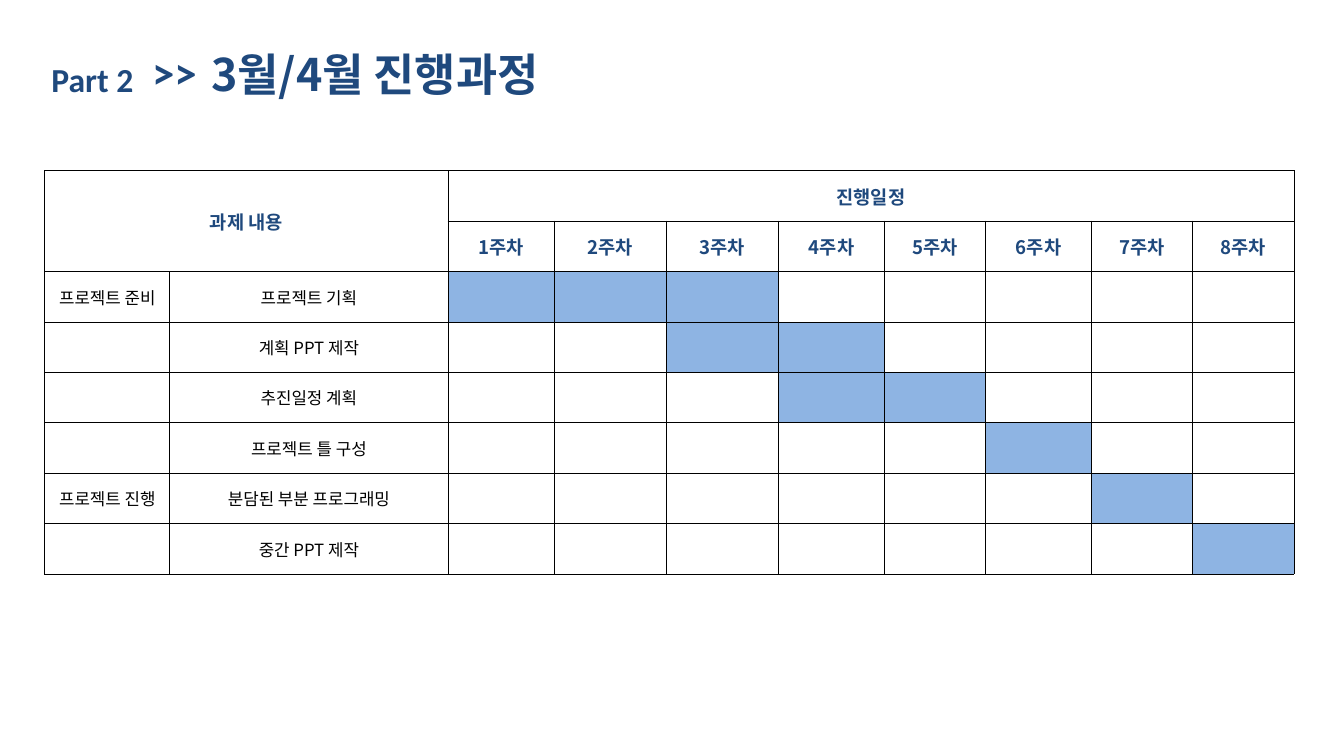
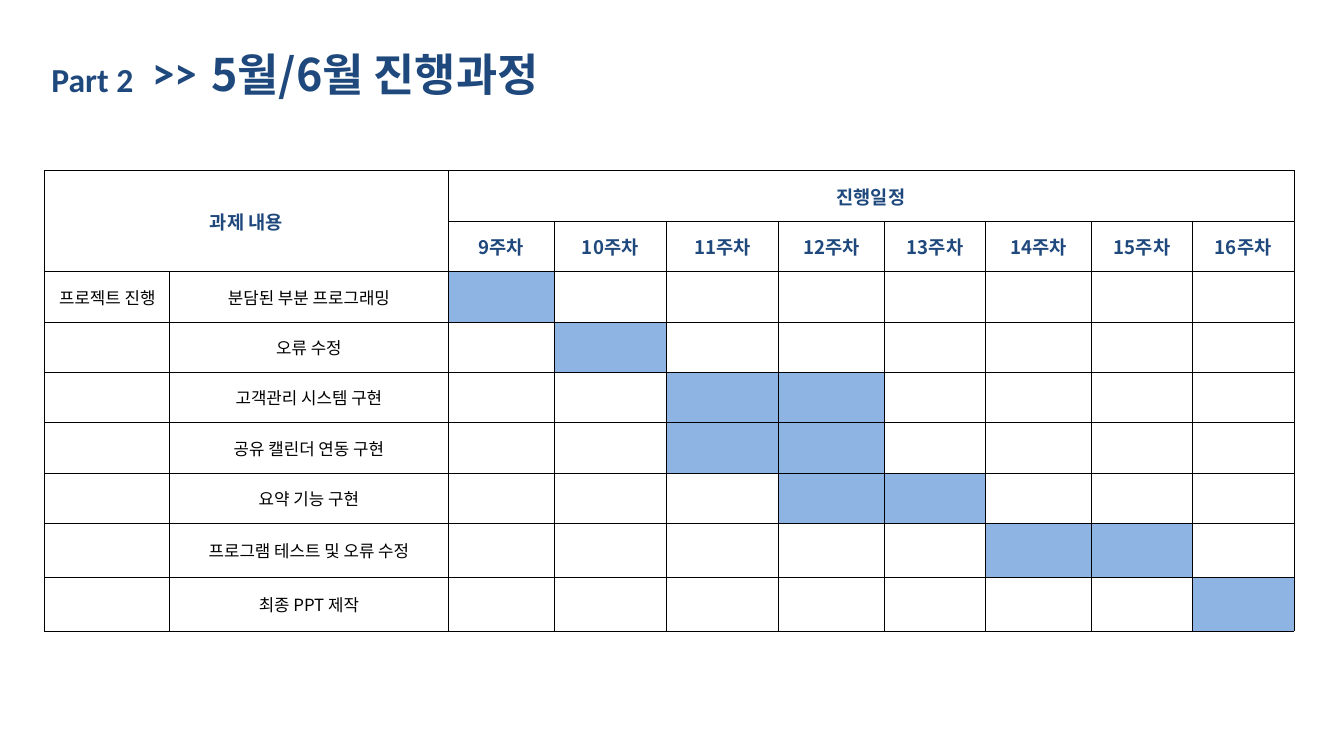
from typing import NamedTuple

from lxml.etree import SubElement
from pptx import Presentation
from pptx.dml.color import RGBColor
from pptx.enum.text import MSO_ANCHOR, MSO_AUTO_SIZE, PP_ALIGN
from pptx.oxml import parse_xml
from pptx.oxml.ns import nsdecls, qn
from pptx.util import Inches, Pt

COLORS = {"navy": "1F497D", "bar": "8EB4E3", "text": "000000", "border": "000000"}
LATIN, KOREAN = "Calibri", "Noto Sans CJK KR"

# The slide is a grid of 60 columns by 45 rows.
SLIDE_WIDTH, SLIDE_HEIGHT = Inches(20), Inches(11.25)
COLUMN, ROW = SLIDE_WIDTH / 60, SLIDE_HEIGHT / 45

WEEKS = 8
HEADER_ROWS, LABEL_COLUMNS = 2, 2
TABLE_COLUMNS = [5.58, 12.42, 4.74, 5.01, 5.01, 4.74, 4.5, 4.74, 4.5, 4.53]
ROW_HEIGHT, TALL_ROW_HEIGHT = 3, 3.2


class Box(NamedTuple):
    """A region in grid columns and rows."""
    left: float
    top: float
    width: float
    height: float

    def region(self, left, top, width, height):
        return Box(self.left + left, self.top + top, width, height)

    def lengths(self):
        return (round(self.left * COLUMN), round(self.top * ROW),
                round(self.width * COLUMN), round(self.height * ROW))


HEADING_BOX = Box(2, 2.48, 22.9, 3.64)
SCHEDULE_BOX = Box(2, 10.16, sum(TABLE_COLUMNS), 24)

# Each task: phase, name, first week, last week.
SPRING_TASKS = [
    ("프로젝트 준비", "프로젝트 기획", 1, 3),
    ("", "계획 PPT 제작", 3, 4),
    ("", "추진일정 계획", 4, 5),
    ("", "프로젝트 틀 구성", 6, 6),
    ("프로젝트 진행", "분담된 부분 프로그래밍", 7, 7),
    ("", "중간 PPT 제작", 8, 8),
]
SUMMER_TASKS = [
    ("프로젝트 진행", "분담된 부분 프로그래밍", 9, 9),
    ("", "오류 수정", 10, 10),
    ("", "고객관리 시스템 구현", 11, 12),
    ("", "공유 캘린더 연동 구현", 11, 12),
    ("", "요약 기능 구현", 12, 13),
    ("", "프로그램 테스트 및 오류 수정", 14, 15),
    ("", "최종 PPT 제작", 16, 16),
]


def write(text_frame, text, size, font=KOREAN, color="navy", bold=True,
          alignment=PP_ALIGN.LEFT):
    text_frame.text = text
    paragraph = text_frame.paragraphs[0]
    paragraph.alignment = alignment
    for run in paragraph.runs:
        run.font.size, run.font.bold, run.font.name = Pt(size), bold, font
        run.font.color.rgb = RGBColor.from_string(COLORS[color])
        SubElement(run.font._element, qn("a:ea"), typeface=font)


def fill_heading_text(shape, box, text, size, font, wrap=True):
    shape.left, shape.top, shape.width, shape.height = box.lengths()
    text_frame = shape.text_frame
    text_frame.word_wrap = wrap
    text_frame.auto_size = MSO_AUTO_SIZE.SHAPE_TO_FIT_TEXT
    text_frame.vertical_anchor = MSO_ANCHOR.TOP
    write(text_frame, text, size, font)


def add_heading(slide, box, title):
    arrows_box = box.region(4.5, 0, 2.61, 3.64)
    title_box = box.region(7.12, 0.08, 15.78, 3.64)
    label_box = box.region(0, 0.84, 4.95, 2.84)
    fill_heading_text(slide.shapes.title, title_box, title, 48, KOREAN)
    arrows = slide.shapes.add_textbox(*arrows_box.lengths())
    fill_heading_text(arrows, arrows_box, ">>", 48, LATIN, wrap=False)
    label = slide.shapes.add_textbox(*label_box.lengths())
    fill_heading_text(label, label_box, "Part 2", 36, LATIN)


def add_borders(cell):
    properties = cell._tc.get_or_add_tcPr()
    for index, side in enumerate(("lnL", "lnR", "lnT", "lnB")):
        properties.insert(index, parse_xml(
            f'<a:{side} {nsdecls("a")} w="{Pt(1)}"><a:solidFill>'
            f'<a:srgbClr val="{COLORS["border"]}"/></a:solidFill></a:{side}>'))


def write_cell(cell, text, header=False):
    style = {"size": 20} if header else {"size": 18, "color": "text", "bold": False}
    cell.vertical_anchor = MSO_ANCHOR.MIDDLE
    write(cell.text_frame, text, alignment=PP_ALIGN.CENTER, **style)


def add_schedule(slide, box, first_week, tasks, tall_rows):
    """Draw the week chart; the last tall_rows rows are slightly higher."""
    row_count = HEADER_ROWS + len(tasks)
    heights = ([ROW_HEIGHT] * (row_count - tall_rows)
               + [TALL_ROW_HEIGHT] * tall_rows)
    box = box._replace(height=sum(heights))
    table = slide.shapes.add_table(row_count, len(TABLE_COLUMNS), *box.lengths()).table
    table.first_row = table.horz_banding = False
    for column, width in zip(table.columns, TABLE_COLUMNS):
        column.width = round(width * COLUMN)
    for row, height in zip(table.rows, heights):
        row.height = round(height * ROW)
    for cell in table.iter_cells():
        cell.fill.background()
        add_borders(cell)

    table.cell(0, 0).merge(table.cell(HEADER_ROWS - 1, LABEL_COLUMNS - 1))
    table.cell(0, LABEL_COLUMNS).merge(table.cell(0, len(TABLE_COLUMNS) - 1))
    write_cell(table.cell(0, 0), "과제 내용", header=True)
    write_cell(table.cell(0, LABEL_COLUMNS), "진행일정", header=True)
    for offset in range(WEEKS):
        write_cell(table.cell(1, LABEL_COLUMNS + offset),
                   f"{first_week + offset}주차", header=True)

    for row, (phase, task, start, end) in enumerate(tasks, HEADER_ROWS):
        write_cell(table.cell(row, 0), phase)
        write_cell(table.cell(row, 1), task)
        for week in range(start, end + 1):
            fill = table.cell(row, LABEL_COLUMNS + week - first_week).fill
            fill.solid()
            fill.fore_color.rgb = RGBColor.from_string(COLORS["bar"])


def add_schedule_slide(presentation, title, first_week, tasks, tall_rows=0):
    slide = presentation.slides.add_slide(
        presentation.slide_layouts.get_by_name("Title Only"))
    add_heading(slide, HEADING_BOX, title)
    add_schedule(slide, SCHEDULE_BOX, first_week, tasks, tall_rows)


def main():
    presentation = Presentation()
    presentation.slide_width, presentation.slide_height = SLIDE_WIDTH, SLIDE_HEIGHT
    add_schedule_slide(presentation, "3월/4월 진행과정", 1, SPRING_TASKS)
    add_schedule_slide(presentation, "5월/6월 진행과정", 9, SUMMER_TASKS, tall_rows=2)
    presentation.save("out.pptx")


if __name__ == "__main__":
    main()
